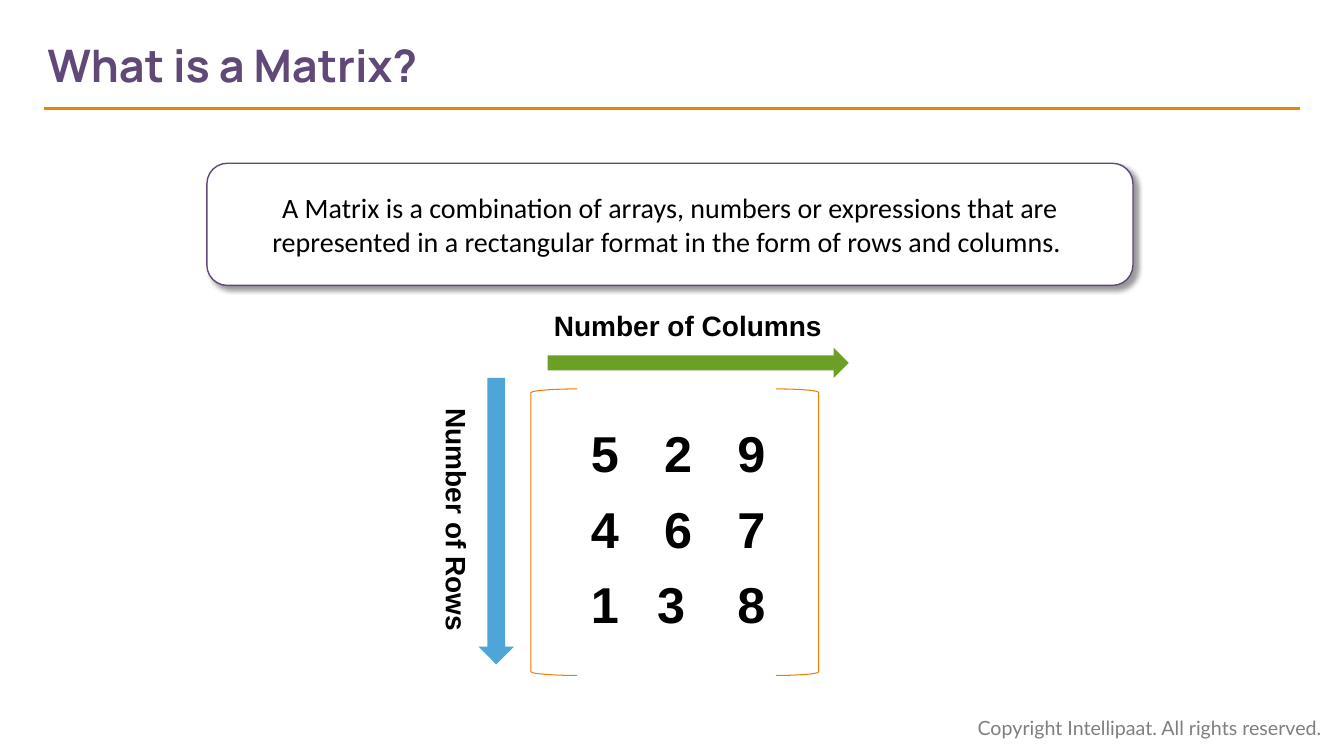
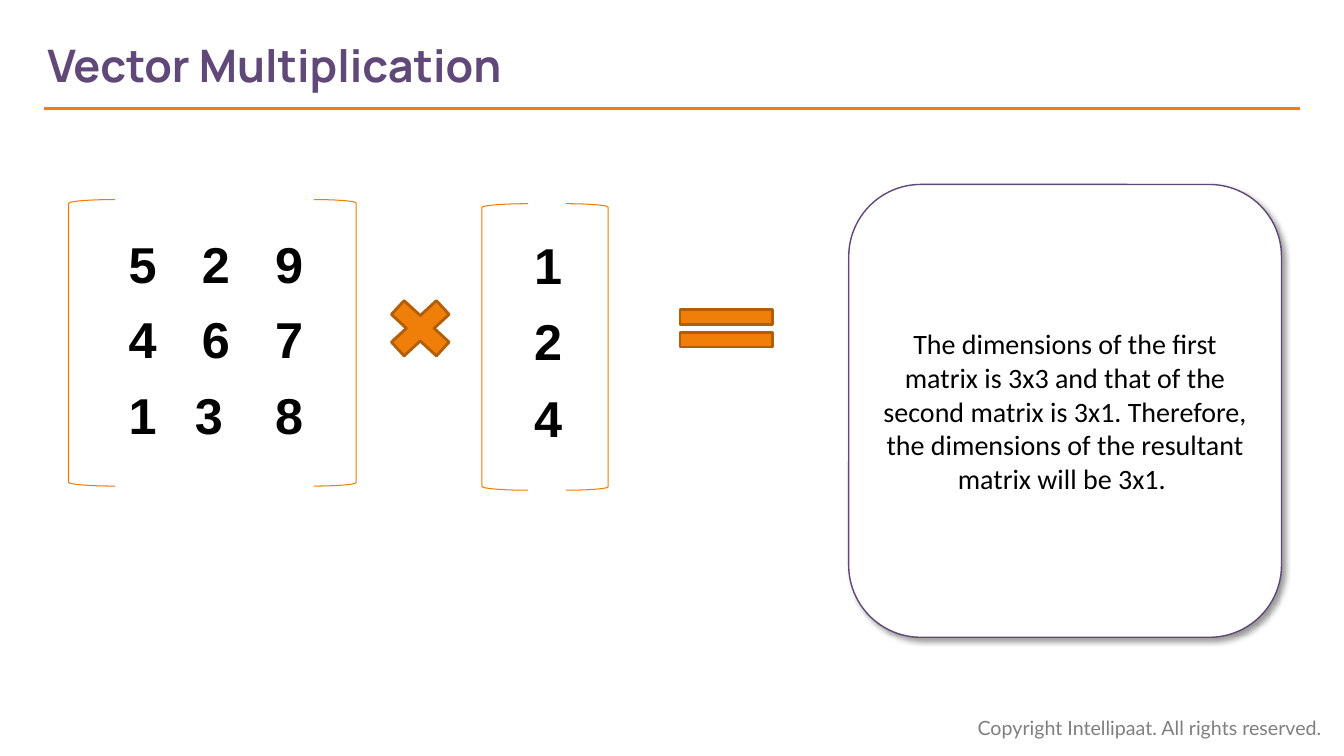
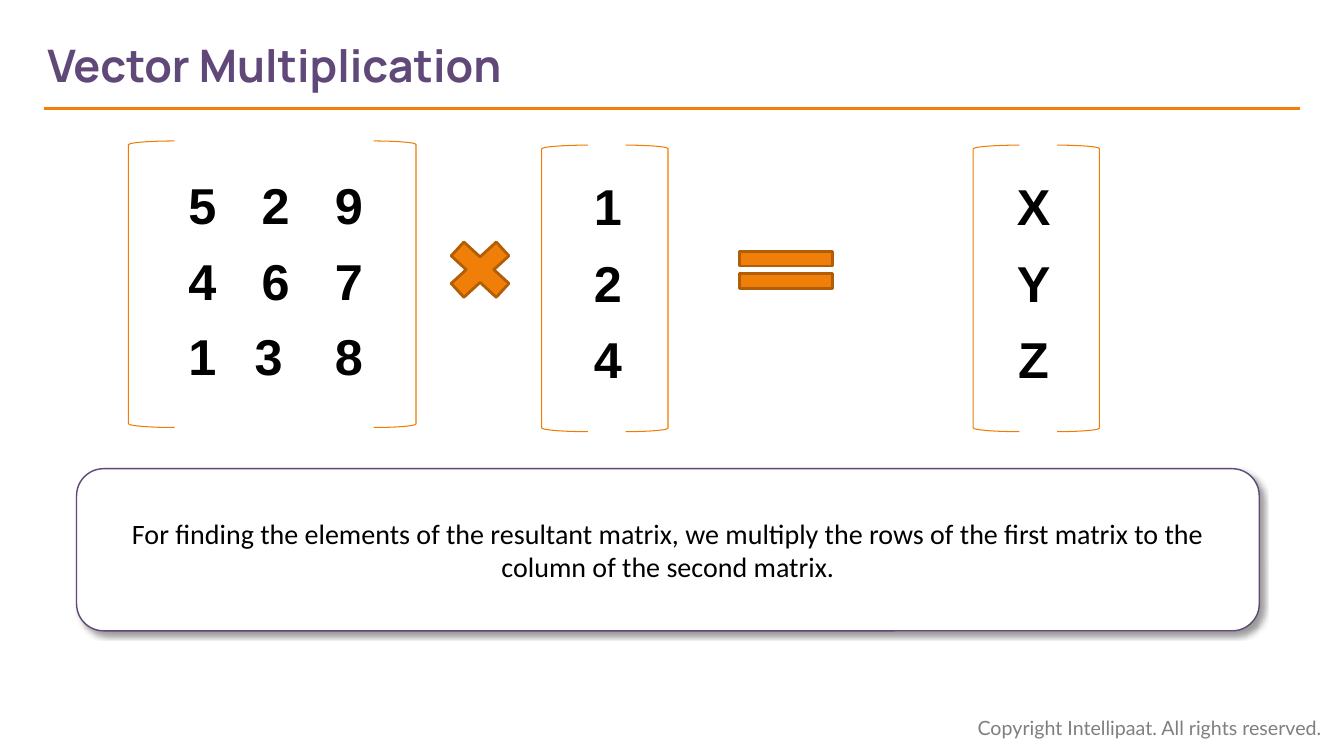
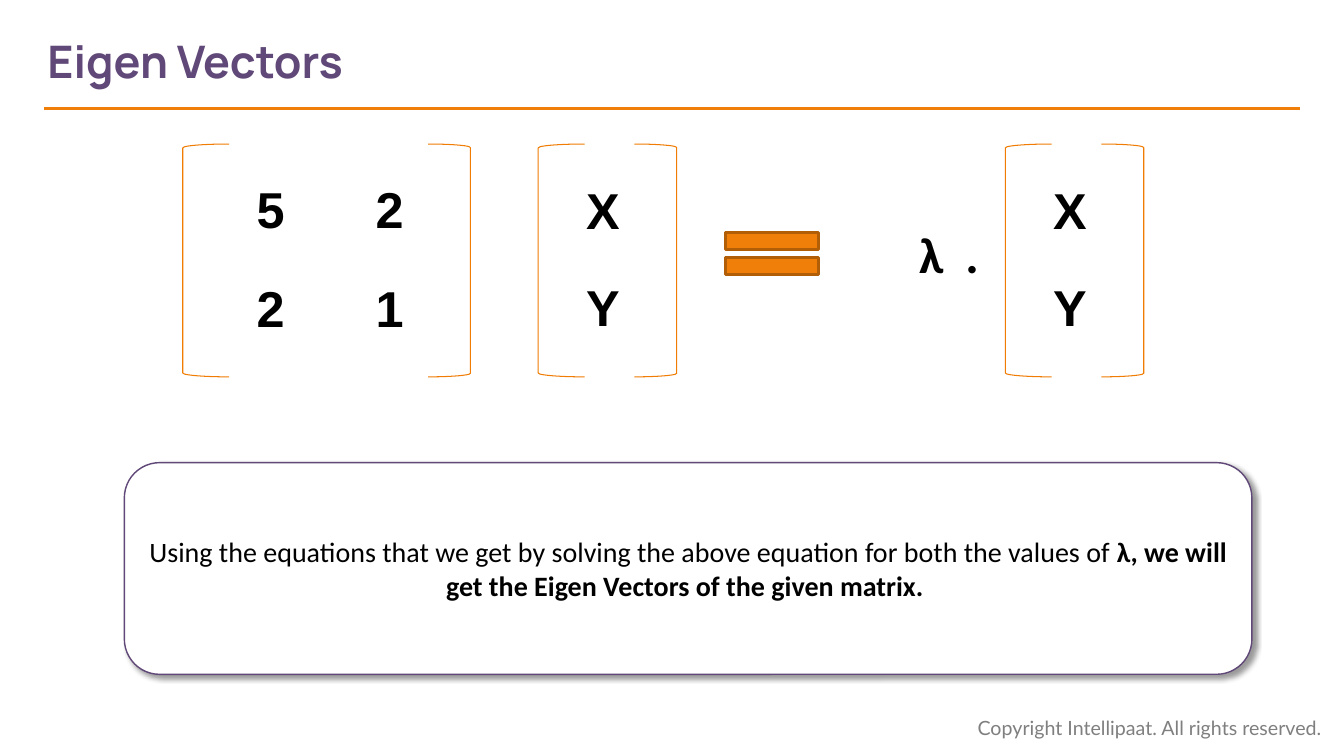
import lxml.etree
import pptx
import pptx.chart.data
import pptx.dml.color
import pptx.enum.shapes
import pptx.enum.text
import pptx.oxml
import pptx.oxml.ns
import pptx.util

Pt = pptx.util.Pt
SHAPE = pptx.enum.shapes.MSO_SHAPE
ALIGN = pptx.enum.text.PP_ALIGN
ANCHOR = pptx.enum.text.MSO_ANCHOR
qn = pptx.oxml.ns.qn

# Shared style
WIDTH, HEIGHT = pptx.util.Inches(13.333), pptx.util.Inches(7.5)
COLORS = {
    "title": "604878", "rule": "F07F09", "footer": "7F7F7F",
    "text": "000000", "card": "FFFFFF", "bracket": "F07C03",
    "sign": "F07F09", "sign_edge": "B25E07",
    "columns": "6B9F25", "rows": "4EA5D8",
}
MATRIX = ["529", ["4", "6", "7"], ["1", "3 ", "8"]]
MATRIX_W, MATRIX_H = 21.4, 37.9
VECTOR_W = 9.4
BRACKET_LEFT, BRACKET_RIGHT = 3.45, 3.15


# Lengths are percentages of the slide's width and height
def across(share):
    return int(WIDTH * share / 100)


def down(share):
    return int(HEIGHT * share / 100)


def place(x, y, w, h):
    return across(x), down(y), across(w), down(h)


def rgb(name):
    return pptx.dml.color.RGBColor.from_string(COLORS[name])


def style_runs(p, size, font, color="text", bold=False):
    for r in p.runs:
        r.font.size = Pt(size)
        r.font.name = font
        r.font.bold = bold
        r.font.color.rgb = rgb(color)


def text(s, words, box, size, font, color="text", bold=False,
         align=ALIGN.LEFT, anchor=ANCHOR.TOP, rotation=0, tab=None):
    sp = s.shapes.add_textbox(*place(*box))
    sp.rotation = rotation
    tf = sp.text_frame
    tf.word_wrap = True
    tf.vertical_anchor = anchor
    p = tf.paragraphs[0]
    if tab:
        tabs = lxml.etree.SubElement(p._p.get_or_add_pPr(), qn("a:tabLst"))
        lxml.etree.SubElement(tabs, qn("a:tab"), pos=str(across(tab)), algn="l")
    p.text = words
    p.alignment = align
    style_runs(p, size, font, color, bold)
    return tf


def shape(s, kind, box, fill=None, line=None, width=1):
    sp = s.shapes.add_shape(kind, *place(*box))
    sp.shadow.inherit = False
    if fill:
        sp.fill.solid()
        sp.fill.fore_color.rgb = rgb(fill)
    else:
        sp.fill.background()
    if line:
        sp.line.color.rgb = rgb(line)
        sp.line.width = Pt(width)
    else:
        sp.line.fill.background()
    return sp


def add_shadow(sp):
    effects = sp._element.spPr.find(qn("a:effectLst"))
    shadow = lxml.etree.SubElement(
        effects, qn("a:outerShdw"), blurRad=str(Pt(4)), dist=str(Pt(3)),
        dir="2700000", algn="tl", rotWithShape="0")
    color = lxml.etree.SubElement(shadow, qn("a:srgbClr"), val=COLORS["text"])
    lxml.etree.SubElement(color, qn("a:alpha"), val="40000")


def card(s, box, words, strong=None):
    """Rounded box with a message and an optional bold ending."""
    sp = shape(s, SHAPE.ROUNDED_RECTANGLE, box, "card", "title")
    add_shadow(sp)
    tf = sp.text_frame
    tf.word_wrap = True
    tf.vertical_anchor = ANCHOR.MIDDLE
    p = tf.paragraphs[0]
    p.text = words
    p.alignment = ALIGN.CENTER
    if strong:
        p.add_run().text = strong
    style_runs(p, 20, "Calibri")
    if strong:
        p.runs[-1].font.bold = True


def matrix(s, values, box, cell, shift=(0, 0)):
    """Bracketed table of numbers, centred in box and moved by shift."""
    x, y, w, h = box
    shape(s, SHAPE.LEFT_BRACKET, (x, y, BRACKET_LEFT, h), None, "bracket", 0.75)
    shape(s, SHAPE.RIGHT_BRACKET, (x + w - BRACKET_RIGHT, y, BRACKET_RIGHT, h),
          None, "bracket", 0.75)
    n_rows, n_cols = len(values), len(values[0])
    tw, th = n_cols * cell[0], n_rows * cell[1]
    left = x + (w - tw) / 2 + shift[0]
    top = y + (h - th) / 2 + shift[1]
    tbl = s.shapes.add_table(n_rows, n_cols, *place(left, top, tw, th)).table
    tbl.first_row = tbl.horz_banding = False
    for i, row in enumerate(values):
        for j, value in enumerate(row):
            c = tbl.cell(i, j)
            c.fill.background()
            c.vertical_anchor = ANCHOR.MIDDLE
            p = c.text_frame.paragraphs[0]
            p.text = value
            p.alignment = ALIGN.CENTER
            style_runs(p, 36, "Arial", bold=True)


def square_matrix(s, x, y):
    matrix(s, MATRIX, (x, y, MATRIX_W, MATRIX_H), (5.45, 10), (0.26, -0.2))


def vector(s, values, x, y, dx):
    matrix(s, values, (x, y, VECTOR_W, MATRIX_H), (4.1, 10.13), (dx, -0.5))


def sign(s, kind, box):
    shape(s, kind, box, "sign", "sign_edge", 2)


def product(s, x, y):
    """Matrix times vector, followed by the equals sign."""
    square_matrix(s, x, y)
    sign(s, SHAPE.MATH_MULTIPLY, (x + 22.95, y + 11.75, 6.45, 10.55))
    vector(s, "124", x + 30.75, y + 0.55, 0.23)
    sign(s, SHAPE.MATH_EQUAL, (x + 44.25, y + 12.85, 9.4, 8.4))


def new_slide(prs, title, top=2.93):
    s = prs.slides.add_slide(prs.slide_layouts[6])
    text(s, "Copyright Intellipaat. All rights reserved.",
         (72, 94, 27.5, 4.55), 14, "Lato", "footer")
    rule = s.shapes.add_connector(
        pptx.enum.shapes.MSO_CONNECTOR.STRAIGHT,
        across(3.3), down(14.4), across(96.75), down(14.4))
    rule.line.color.rgb = rgb("rule")
    rule.line.width = Pt(2.25)
    lxml.etree.SubElement(rule._element.spPr, qn("a:effectLst"))
    tf = text(s, title, (3.52, top, 71, 11.2), 32, "Manrope", "title", True,
              anchor=ANCHOR.MIDDLE)
    tf.margin_left = 0
    return s


# Slides
def matrix_slide(prs):
    s = new_slide(prs, "What is a Matrix?")
    card(s, (15.4, 21.6, 68.9, 16.15),
         "A Matrix is a combination of arrays, numbers or expressions that are "
         "represented in a rectangular format in the form of rows and columns. ")
    square_matrix(s, 39.5, 51.45)
    shape(s, SHAPE.RIGHT_ARROW, (40.75, 46, 22.4, 4), "columns")
    shape(s, SHAPE.DOWN_ARROW, (35.6, 50, 2.65, 37.9), "rows")
    for words, box, rotation in (
            ("Number of Rows", (22.95, 65.85, 22.05, 5.85), 90),
            ("Number of Columns", (39.1, 40.1, 24.15, 5.85), 0)):
        text(s, words, box, 20, "Arial", bold=True, align=ALIGN.CENTER,
             rotation=rotation)


def dimensions_slide(prs):
    s = new_slide(prs, "Vector Multiplication")
    product(s, 5.1, 26.4)
    card(s, (63.15, 24.4, 32.2, 59.9),
         "The dimensions of the first matrix is 3x3 and that of the second "
         "matrix is 3x1. Therefore, the dimensions of the resultant matrix "
         "will be 3x1. ")


def elements_slide(prs):
    s = new_slide(prs, "Vector Multiplication")
    product(s, 9.55, 18.65)
    vector(s, "XYZ", 72.4, 19.2, -0.2)
    card(s, (5.7, 62, 88, 21.45),
         "For finding the elements of the resultant matrix, we multiply the "
         "rows of the first matrix to the column of the second matrix.")


def eigen_slide(prs):
    s = new_slide(prs, "Eigen Vectors", 2.4)
    top, height = 19.05, 30.8
    matrix(s, ["52", "21"], (13.6, top, MATRIX_W, height), (8.85, 13), (0.26, 0))
    for x in (40.05, 74.8):
        matrix(s, "XY", (x, top, 10.3, height), (6.45, 12.8), (-0.35, 0))
    sign(s, SHAPE.MATH_EQUAL, (52.75, 28.8, 9.4, 9.45))
    text(s, "λ\t.", (67.65, 28.8, 7.1, 9.45), 36, "Calibri", bold=True, tab=3.45)
    card(s, (9.25, 61.2, 83.9, 28),
         "Using the equations that we get by solving the above equation for "
         "both the values of ",
         "λ, we will get the Eigen Vectors of the given matrix. ")


def main():
    prs = pptx.Presentation()
    prs.slide_width, prs.slide_height = WIDTH, HEIGHT
    matrix_slide(prs)
    dimensions_slide(prs)
    elements_slide(prs)
    eigen_slide(prs)
    prs.save("out.pptx")


if __name__ == "__main__":
    main()
